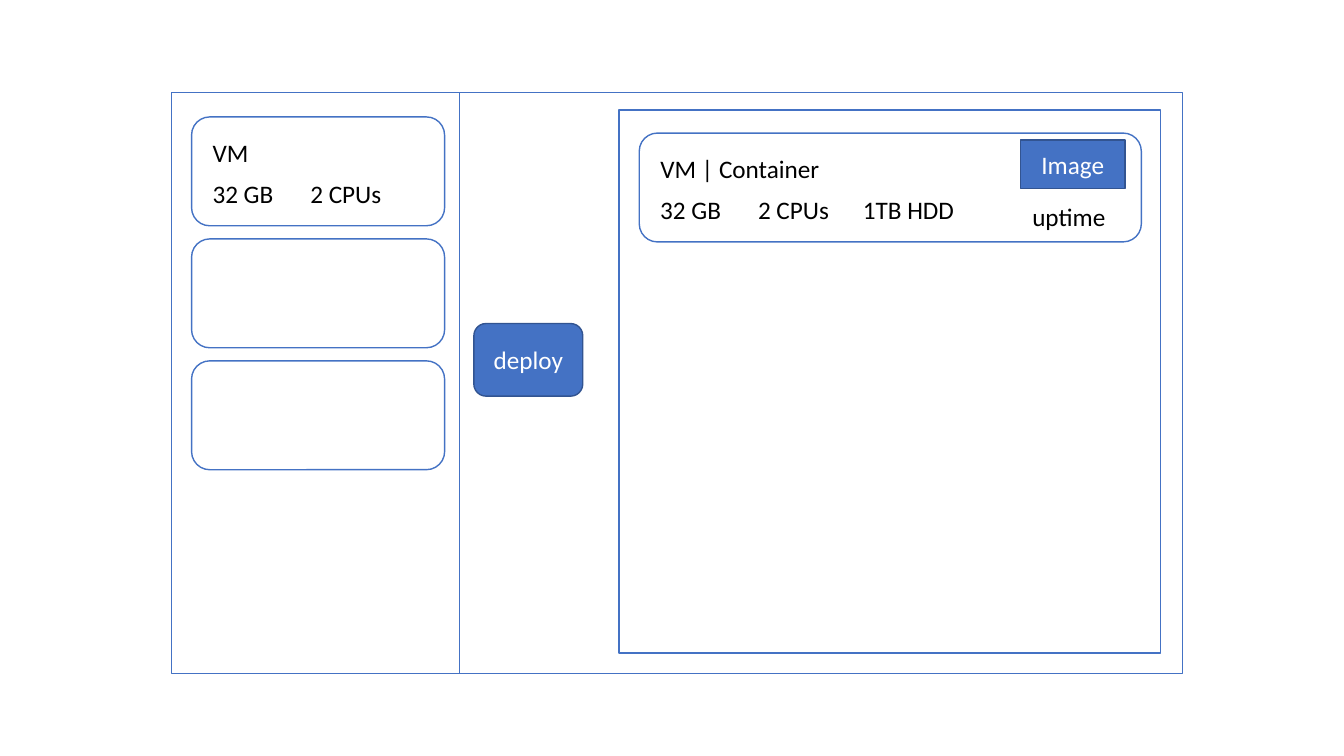
from pptx import Presentation
from pptx.dml.color import RGBColor
from pptx.enum.shapes import MSO_CONNECTOR, MSO_SHAPE
from pptx.enum.text import MSO_ANCHOR, MSO_AUTO_SIZE, PP_ALIGN
from pptx.oxml.ns import qn
from pptx.util import Inches, Pt

RECT = MSO_SHAPE.RECTANGLE
ROUND = MSO_SHAPE.ROUNDED_RECTANGLE
STRAIGHT = MSO_CONNECTOR.STRAIGHT
MIDDLE = MSO_ANCHOR.MIDDLE
CENTER = PP_ALIGN.CENTER
FIT_SHAPE = MSO_AUTO_SIZE.SHAPE_TO_FIT_TEXT

BLUE, DARK_BLUE, WHITE, BLACK = "4472C4", "325491", "FFFFFF", "000000"
FONT, SIZE = "Calibri", 18
CARD_H = 1.08
SPEC_OFFSETS = (0, 0.97, 2.01)


def color(value):
    return RGBColor.from_string(value)


def write(tf, text, text_color):
    tf.text = text
    p = tf.paragraphs[0]
    for r in p.runs:
        r.font.name = FONT
        r.font.size = Pt(SIZE)
        r.font.color.rgb = color(text_color)
    return p


def add_box(s, kind, x, y, w, h, fill=None, line=BLUE):
    sp = s.shapes.add_shape(kind, Inches(x), Inches(y), Inches(w), Inches(h))
    sp.shadow.inherit = False
    if fill:
        sp.fill.solid()
        sp.fill.fore_color.rgb = color(fill)
    else:
        sp.fill.background()
    sp.line.color.rgb = color(line)
    sp.line.width = Pt(1)
    return sp


def add_button(s, kind, x, y, w, h, text):
    sp = add_box(s, kind, x, y, w, h, BLUE, DARK_BLUE)
    tf = sp.text_frame
    tf.word_wrap = True
    tf.vertical_anchor = MIDDLE
    write(tf, text, WHITE).alignment = CENTER


def add_label(s, x, y, w, text):
    sp = s.shapes.add_textbox(Inches(x), Inches(y), Inches(w), Inches(0.4))
    tf = sp.text_frame
    tf.word_wrap = True
    tf.auto_size = FIT_SHAPE
    write(tf, text, BLACK)


def add_divider(s, x, y, h):
    line = s.shapes.add_connector(STRAIGHT, Inches(x), Inches(y), Inches(x), Inches(y + h))
    line.line.color.rgb = color(BLUE)
    line.line.width = Pt(0.5)
    sp_pr = line._element.spPr
    sp_pr.append(sp_pr.makeelement(qn("a:effectLst"), {}))


def add_card(s, x, y, w, title="", specs=()):
    """Rounded card with a title line and a row of specs."""
    add_box(s, ROUND, x, y, w, CARD_H, WHITE)
    if title:
        add_label(s, x + 0.11, y + 0.15, 2.02, title)
    for offset, spec in zip(SPEC_OFFSETS, specs):
        add_label(s, x + 0.11 + offset, y + 0.56, 1.13, spec)


def add_catalog(s, x, y):
    """Left column: available machines."""
    cards = [("VM", ("32 GB", "2 CPUs")), ("", ()), ("", ())]
    for i, (title, specs) in enumerate(cards):
        add_card(s, x + 0.2, y + 0.24 + i * 1.21, 2.51, title, specs)


def add_deployments(s, x, y, w, h):
    """Right panel: running machines and containers."""
    add_box(s, RECT, x, y, w, h)
    add_card(s, x + 0.2, y + 0.23, 4.98, "VM | Container",
             ("32 GB", "2 CPUs", "1TB HDD"))
    add_button(s, RECT, x + 3.98, y + 0.3, 1.04, 0.48, "Image")
    add_label(s, x + 4, y + 0.86, 1.04, "uptime")


def build_dashboard(s, x, y, w, h):
    add_box(s, RECT, x, y, w, h)
    add_divider(s, x + 2.86, y, h)
    add_button(s, ROUND, x + 3, y + 2.29, 1.08, 0.72, "deploy")
    add_catalog(s, x, y)
    add_deployments(s, x + 4.44, y + 0.17, 5.37, 5.39)


def main():
    prs = Presentation()
    prs.slide_width, prs.slide_height = Inches(13.33), Inches(7.5)
    s = prs.slides.add_slide(prs.slide_layouts[6])
    build_dashboard(s, 1.7, 0.92, 10.03, 5.76)
    prs.save("out.pptx")


if __name__ == "__main__":
    main()
